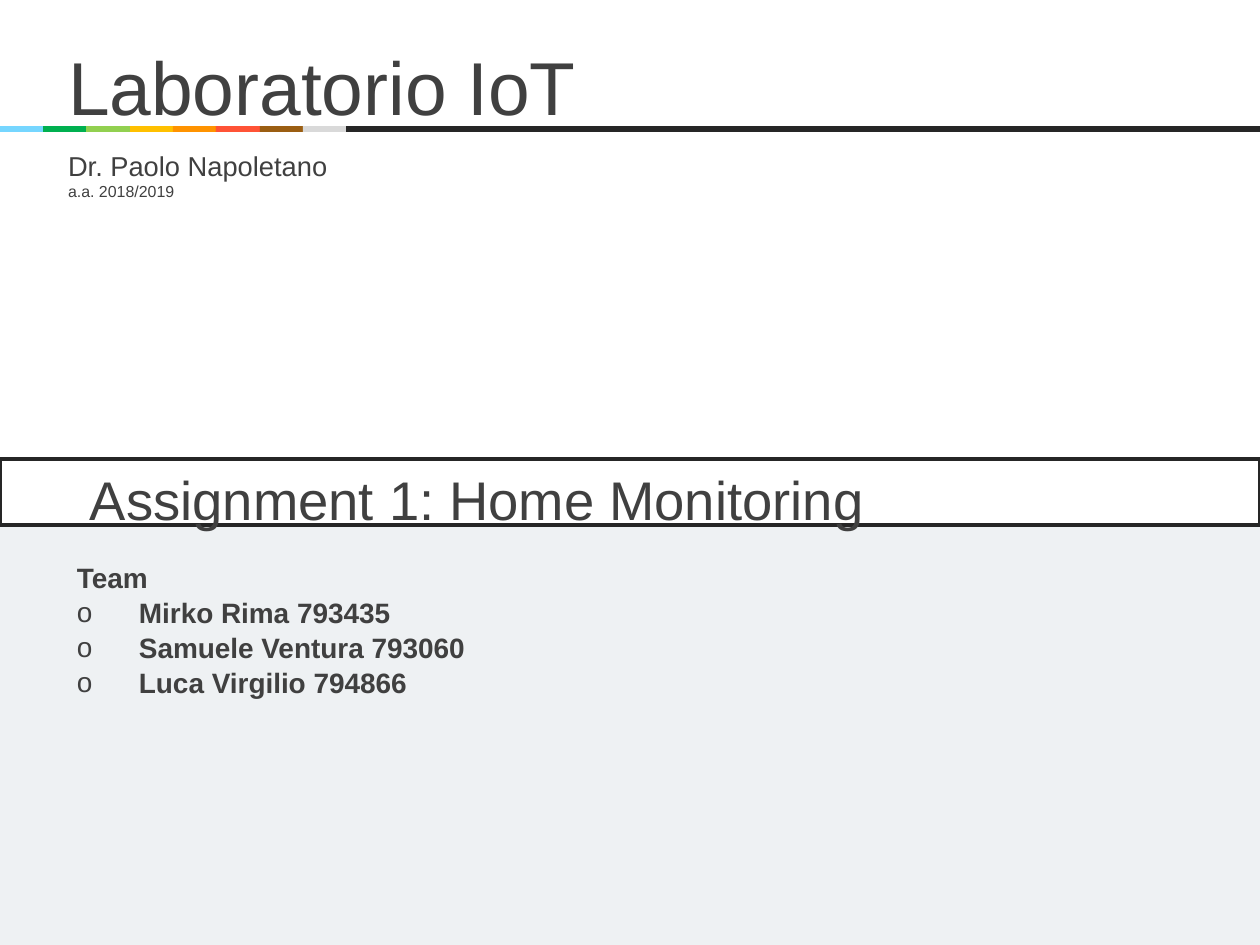
from dataclasses import dataclass

from lxml import etree
from pptx import Presentation, util as u
from pptx.dml.color import RGBColor
from pptx.enum import shapes, text
from pptx.oxml.ns import qn

COURSE = "Laboratorio IoT"
TEACHER = "Dr. Paolo Napoletano"
YEAR = "a.a. 2018/2019"
ASSIGNMENT = "Assignment 1: Home Monitoring"
TEAM_HEADING = "Team"
TEAM = ["Mirko Rima 793435", "Samuele Ventura 793060", "Luca Virgilio 794866"]


@dataclass(frozen=True)
class Theme:
    font: str = "Arial"
    ink: str = "404040"
    dark: str = "262626"
    panel: tuple = ("607D8B", 10)
    # Colour and opacity in percent, from left to right
    stripes: tuple = (("76D6FF", 100), ("00B050", 100), ("92D050", 100),
                      ("FFC000", 100), ("FF9300", 100), ("FF2600", 79),
                      ("945200", 93), ("D9D9D9", 100))
    title: float = 42.8
    assignment: float = 31.1
    teacher: float = 15.6
    year: float = 9.1
    team: float = 16


THEME = Theme()
PX = 914400 // 126
WIDTH, HEIGHT = 1260, 945
INSET_X, INSET_Y = 11, 6
STRIPES_WIDTH, STRIPE_TOP, STRIPE_HEIGHT = 346, 126, 6
BAND_TOP, BAND_HEIGHT = 459, 66
PANEL_TOP = BAND_TOP + BAND_HEIGHT
BULLET_INDENT = 62


def px(*lengths):
    return [u.Emu(length * PX) for length in lengths]


def add_rect(parent, area, fill=None, opacity=100, line=None):
    rect = parent.add_shape(shapes.MSO_SHAPE.RECTANGLE, *px(*area))
    rect.shadow.inherit = False
    if fill:
        rect.fill.solid()
        rect.fill.fore_color.rgb = RGBColor.from_string(fill)
        if opacity < 100:
            color = rect.fill._xPr.find(".//" + qn("a:srgbClr"))
            etree.SubElement(color, qn("a:alpha"), val=str(opacity * 1000))
    else:
        rect.fill.background()
    if line:
        rect.line.color.rgb = RGBColor.from_string(line)
        rect.line.width = u.Pt(2.25)
    else:
        rect.line.fill.background()


def add_bullet(para):
    props = para._p.get_or_add_pPr()
    indent = BULLET_INDENT * PX
    props.set("marL", str(indent))
    props.set("indent", str(-indent))
    etree.SubElement(props, qn("a:buFont"), typeface=THEME.font)
    etree.SubElement(props, qn("a:buChar"), char="o")


def write(box, area, lines):
    """Place a box and fill it with (words, size, bold, bulleted) lines."""
    box.left, box.top, box.width, box.height = px(*area)
    frame = box.text_frame
    frame.word_wrap = True
    frame.auto_size = text.MSO_AUTO_SIZE.NONE
    frame.vertical_anchor = text.MSO_ANCHOR.TOP
    frame.margin_left, frame.margin_right = px(INSET_X, INSET_X)
    frame.margin_top, frame.margin_bottom = px(INSET_Y, INSET_Y)
    for i, (words, size, bold, bulleted) in enumerate(lines):
        para = frame.add_paragraph() if i else frame.paragraphs[0]
        para.alignment = text.PP_ALIGN.LEFT
        para.line_spacing = 1.0
        para.space_before = u.Pt(0.8 if bulleted else 0)
        if bulleted:
            add_bullet(para)
        span = para.add_run()
        span.text = words
        span.font.name = THEME.font
        span.font.size = u.Pt(size)
        span.font.bold = bold
        span.font.color.rgb = RGBColor.from_string(THEME.ink)


def add_text(page, area, lines):
    write(page.shapes.add_textbox(*px(*area)), area, lines)


def add_stripes(page):
    group = page.shapes.add_group_shape().shapes
    count = len(THEME.stripes)
    edges = [round(i * STRIPES_WIDTH / count) for i in range(count + 1)]
    bars = [*THEME.stripes, (THEME.dark, 100)]
    for (color, opacity), left, right in zip(bars, edges, edges[1:] + [WIDTH]):
        area = (left, STRIPE_TOP, right - left, STRIPE_HEIGHT)
        add_rect(group, area, color, opacity)


def main():
    deck = Presentation()
    deck.slide_width, deck.slide_height = px(WIDTH, HEIGHT)
    page = deck.slides.add_slide(deck.slide_layouts[5])

    add_rect(page.shapes, (0, PANEL_TOP, WIDTH, HEIGHT - PANEL_TOP), *THEME.panel)
    add_rect(page.shapes, (0, BAND_TOP, WIDTH, BAND_HEIGHT), line=THEME.dark)
    add_stripes(page)

    write(page.shapes.title, (57, 35, 1154, 98),
          [(COURSE, THEME.title, False, False)])
    add_text(page, (57, 143, 1154, 62),
             [(TEACHER, THEME.teacher, False, False),
              (YEAR, THEME.year, False, False)])
    add_text(page, (79, 460, 1125, 74),
             [(ASSIGNMENT, THEME.assignment, False, False)])
    add_text(page, (66, 555, 1138, 146),
             [(TEAM_HEADING, THEME.team, True, False),
              *((member, THEME.team, True, True) for member in TEAM)])

    deck.save("out.pptx")


if __name__ == "__main__":
    main()
